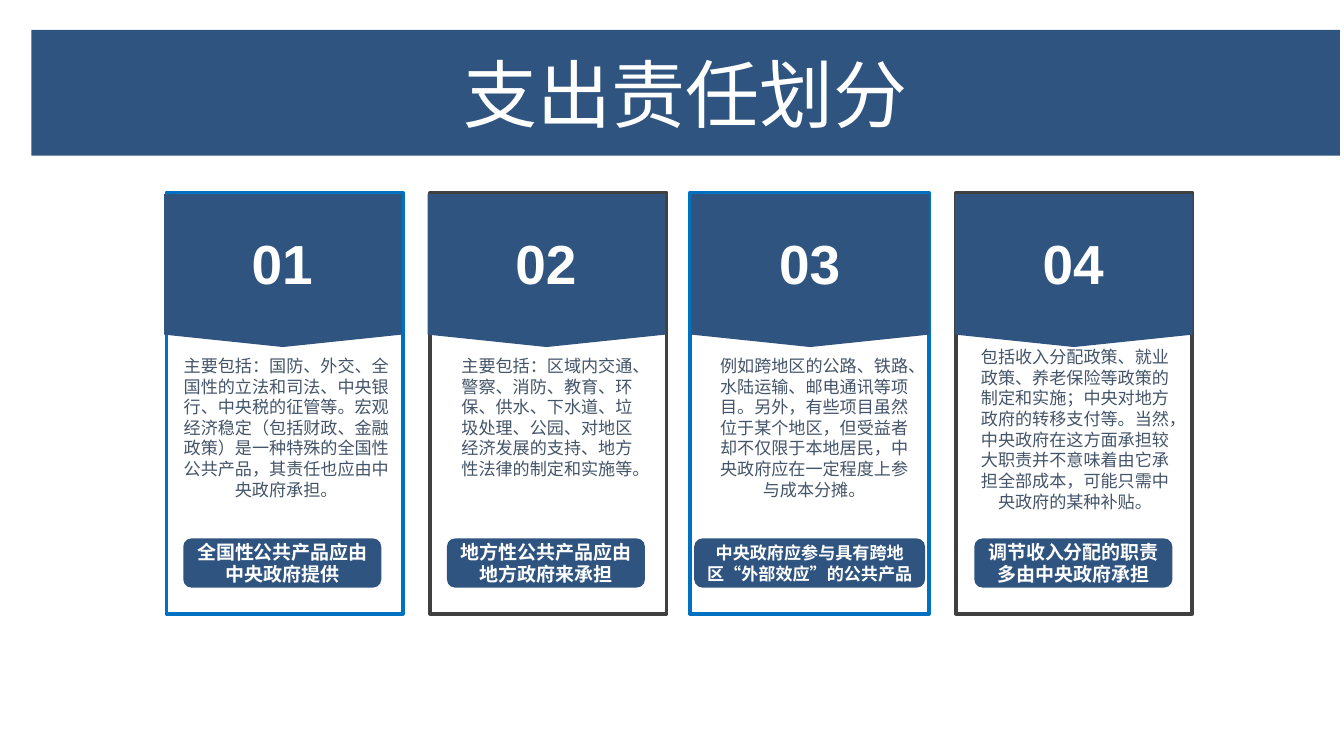
"""Build the slide on the division of expenditure responsibilities."""
import pptx
import pptx.dml.color
import pptx.enum.lang
import pptx.enum.shapes
import pptx.enum.text
import pptx.oxml.ns
import pptx.util
from lxml import etree

Pt = pptx.util.Pt
SHAPES = pptx.enum.shapes.MSO_SHAPE
ANCHORS = pptx.enum.text.MSO_ANCHOR
COLORS = {
    "navy": "305480",
    "blue": "0070C0",
    "dark": "404040",
    "white": "FFFFFF",
    "body": "445469",
}
FIRST_CENTER = 148.8
CARD_STEP = 139
CARDS = [
    {"left": 87.8, "width": 124.6, "border": "blue", "pill": (104.4, 10),
     "text_box": (96.5, 187.2, 108.7, 76.3),
     "body": "主要包括：国防、外交、全国性的立法和司法、中央银行、中央税的征管等。"
             "宏观经济稳定（包括财政、金融政策）是一种特殊的全国性公共产品，"
             "其责任也应由中央政府承担。",
     "summary": "全国性公共产品应由中央政府提供"},
    {"left": 226.8, "width": 124.6, "border": "dark", "pill": (104.4, 10),
     "text_box": (242.6, 187.2, 91.4, 65.5),
     "body": "主要包括：区域内交通、警察、消防、教育、环保、供水、下水道、垃圾处理、"
             "公园、对地区经济发展的支持、地方性法律的制定和实施等。",
     "summary": "地方性公共产品应由地方政府来承担"},
    {"left": 363.6, "width": 126, "border": "blue", "pill": (121.7, 9),
     "text_box": (377.3, 187.2, 103.7, 76.3),
     "body": "例如跨地区的公路、铁路、水陆运输、邮电通讯等项目。另外，"
             "有些项目虽然位于某个地区，但受益者却不仅限于本地居民，"
             "中央政府应在一定程度上参与成本分摊。",
     "summary": "中央政府应参与具有跨地区“外部效应”的公共产品"},
    {"left": 504, "width": 124.6, "border": "dark", "pill": (104.4, 10),
     "text_box": (515.5, 182.6, 102.2, 87.1),
     "body": "包括收入分配政策、就业政策、养老保险等政策的制定和实施；"
             "中央对地方政府的转移支付等。当然，中央政府在这方面承担较大职责"
             "并不意味着由它承担全部成本，可能只需中央政府的某种补贴。",
     "summary": "调节收入分配的职责多由中央政府承担"},
]


def rgb(name):
    return pptx.dml.color.RGBColor.from_string(COLORS[name])


def add_block(page, kind, bounds, fill, border=None):
    """Add a filled preset shape."""
    block = page.shapes.add_shape(kind, *map(Pt, bounds))
    block.shadow.inherit = False
    block.fill.solid()
    block.fill.fore_color.rgb = rgb(fill)
    if border:
        block.line.color.rgb = rgb(border)
        block.line.width = Pt(2)
    else:
        block.line.fill.background()
    return block


def write_text(box, text, size, color="white", bold=False, face="Arial",
               anchor=ANCHORS.MIDDLE, insets=(5, 3), spacing=None):
    """Write one centred paragraph into a box."""
    frame = box.text_frame
    frame.word_wrap = True
    frame.vertical_anchor = anchor
    frame.margin_left = frame.margin_right = Pt(insets[0])
    frame.margin_top = frame.margin_bottom = Pt(insets[1])
    para = frame.paragraphs[0]
    para.alignment = pptx.enum.text.PP_ALIGN.CENTER
    if spacing:
        para.line_spacing = Pt(spacing)
    span = para.add_run()
    span.text = text
    font = span.font
    font.name = face
    font.size = Pt(size)
    font.bold = bold
    font.color.rgb = rgb(color)
    font.language_id = pptx.enum.lang.MSO_LANGUAGE_ID.SIMPLIFIED_CHINESE
    properties = span._r.get_or_add_rPr()
    east_asian = etree.SubElement(properties, pptx.oxml.ns.qn("a:ea"))
    east_asian.set("typeface", "Noto Sans CJK SC")


def add_text(page, bounds, text, size, **style):
    """Add a top-anchored text box."""
    box = page.shapes.add_textbox(*map(Pt, bounds))
    write_text(box, text, size, anchor=ANCHORS.TOP, **style)


def add_card(page, index, card):
    """Add a card with its pennant, number, body text and summary pill."""
    center = FIRST_CENTER + index * CARD_STEP
    add_block(page, SHAPES.RECTANGLE,
              (card["left"], 101.5, card["width"], 221.8), "white", card["border"])
    pennant = add_block(page, SHAPES.PENTAGON,
                        (center - 40, 79.9, 80.6, 125.3), "navy")
    pennant.adjustments[0] = 0.081
    pennant.rotation = 90
    width, size = card["pill"]
    pill = add_block(page, SHAPES.ROUNDED_RECTANGLE,
                     (center - width / 2, 283.7, width, 25.9), "navy")
    write_text(pill, card["summary"], size, bold=True, spacing=size * 1.2)
    add_text(page, (center - 35, 118.1, 70, 41), f"{index + 1:02}", 29, bold=True)
    add_text(page, card["text_box"], card["body"], 9, color="body",
             insets=(0, 0), spacing=10.86)


def main():
    deck = pptx.Presentation()
    deck.slide_width, deck.slide_height = Pt(708.5), Pt(396.7)
    page = deck.slides.add_slide(deck.slide_layouts[6])
    for index, card in enumerate(CARDS):
        add_card(page, index, card)
    banner = add_block(page, SHAPES.RECTANGLE, (16.5, 15.8, 689.8, 66.2), "navy")
    write_text(banner, "支出责任划分", 39, face="Calibri")
    deck.save("out.pptx")


if __name__ == "__main__":
    main()
